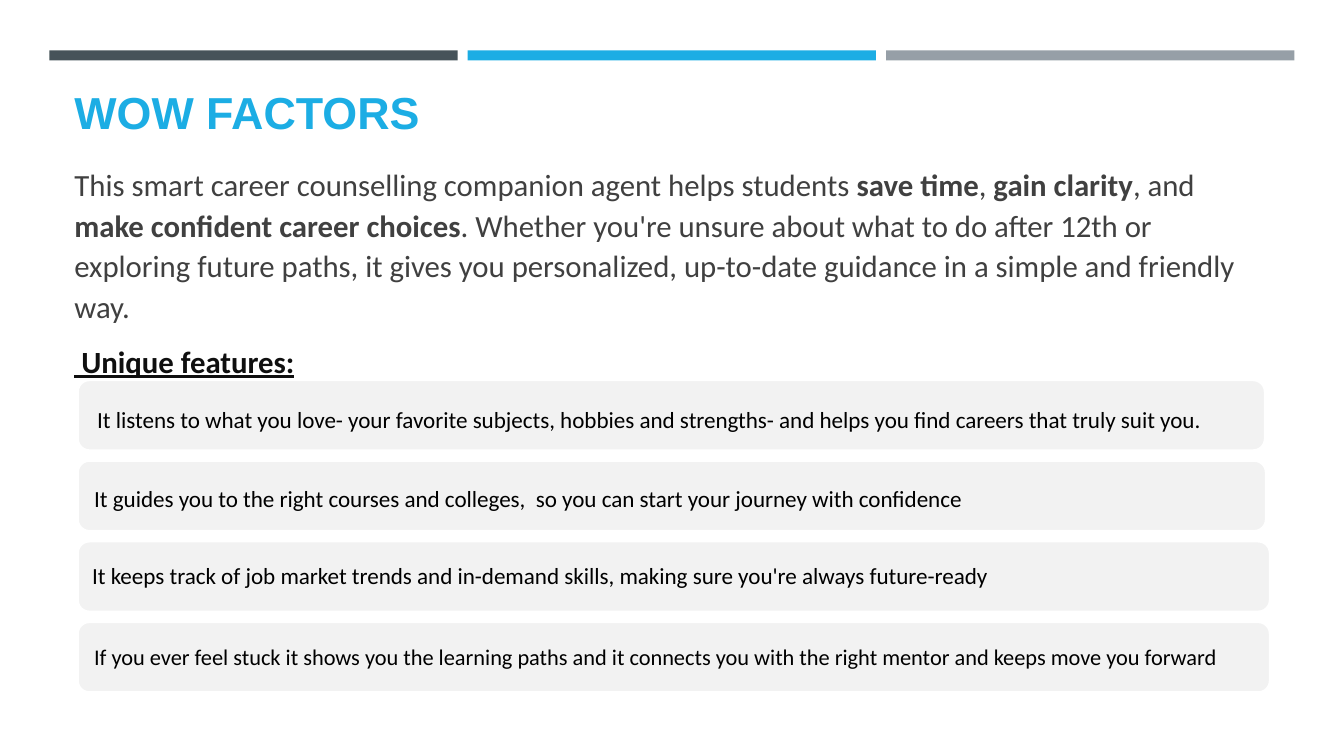
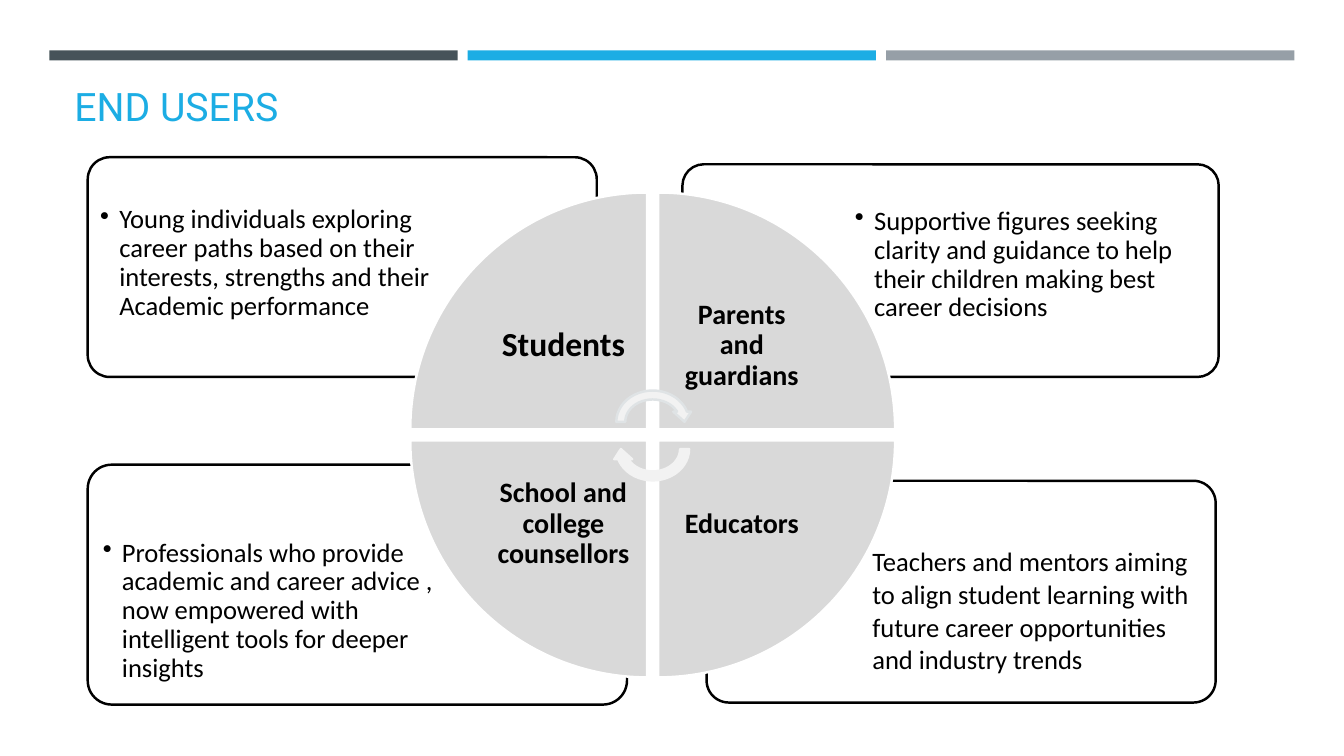
from dataclasses import dataclass

from lxml import etree
from pptx import Presentation
from pptx.dml.color import RGBColor
from pptx.enum.shapes import MSO_SHAPE
from pptx.enum.text import MSO_ANCHOR, PP_ALIGN
from pptx.oxml.ns import qn
from pptx.util import Inches, Pt

RECTANGLE = MSO_SHAPE.RECTANGLE
ROUNDED = MSO_SHAPE.ROUNDED_RECTANGLE
WEDGE = MSO_SHAPE.PIE_WEDGE
CIRCULAR_ARROW = MSO_SHAPE.CIRCULAR_ARROW
TOP, MIDDLE, BOTTOM = MSO_ANCHOR.TOP, MSO_ANCHOR.MIDDLE, MSO_ANCHOR.BOTTOM
LEFT, CENTER = PP_ALIGN.LEFT, PP_ALIGN.CENTER

# The slide is a grid of tenth-inch columns and rows
COLUMNS, ROWS = 133.33, 75
MARGIN, CONTENT_WIDTH = 6.4, 120.6


@dataclass(frozen=True)
class Theme:
    slate: str = "465359"
    blue: str = "1CADE4"
    gray: str = "969FA7"
    body: str = "404040"
    heading: str = "0F0F0F"
    black: str = "000000"
    white: str = "FFFFFF"
    card: str = "F2F2F2"
    wedge: str = "D9D9D9"
    arrow_edge: str = "DFE3E5"
    font: str = "Calibri"
    lead_size: float = 22
    feature_size: float = 16.5
    card_size: float = 19
    label_size: float = 20
    outline: float = 1.75


THEME = Theme()

# Text, width, left inset, added top inset, type size
FEATURES = [
    ("It listens to what you love- your favorite subjects, hobbies and strengths- "
     "and helps you find careers that truly suit you.", 117.8, 1.6, 1.2, THEME.feature_size),
    ("It guides you to the right courses and colleges,  so you can start your "
     "journey with confidence", 117.9, 1.3, 0.8, THEME.feature_size),
    ("It keeps track of job market trends and in-demand skills, making sure "
     "you're always future-ready", 118.3, 1.1, 0, THEME.feature_size),
    ("If you ever feel stuck it shows you the learning paths and it connects you "
     "with the right mentor and keeps move you forward", 118.3, 1.3, 0.2, 16),
]

# Box, insets (left, top, right, bottom), bulleted, paragraphs
USER_CARDS = [
    ((70.1, 47.7, 50.5, 22), (15.8, 6.1, 0.7, 0), False,
     ["Teachers and mentors aiming", "to align student learning with",
      "future career opportunities", "and industry trends"]),
    ((8.7, 46.1, 53.5, 23.8), (0.8, 6.7, 16.9, 0), True,
     ["Professionals who provide academic and career advice , now empowered "
      "with intelligent tools for deeper insights"]),
    ((67.7, 16.3, 53.2, 21.1), (16.5, 3.7, 0.6, 0), True,
     ["Supportive figures seeking clarity and guidance to help their children "
      "making best career decisions"]),
    ((8.7, 15.6, 50.5, 21.8), (0.6, 4.2, 15.9, 0), True,
     ["Young individuals exploring career paths based on their interests, "
      "strengths and their Academic performance"]),
]

# Label, column, row, rotation, type size
WEDGES = [
    ("Students", 0, 0, 0, 24),
    ("Parents and guardians", 1, 0, 90, THEME.label_size),
    ("Educators", 1, 1, 180, THEME.label_size),
    ("School and college counsellors", 0, 1, 270, THEME.label_size),
]


def grid(count):
    return Inches(count / 10)


def color(value):
    return RGBColor.from_string(value)


def set_frame(shape, anchor=TOP, insets=(1, 0.5, 1, 0.5)):
    frame = shape.text_frame
    frame.word_wrap = True
    frame.vertical_anchor = anchor
    (frame.margin_left, frame.margin_top,
     frame.margin_right, frame.margin_bottom) = map(grid, insets)
    return frame


def add_shape(slide, kind, box, fill, line=None, rotation=0):
    shape = slide.shapes.add_shape(kind, *map(grid, box))
    shape.shadow.inherit = False
    shape.rotation = rotation
    shape.fill.solid()
    shape.fill.fore_color.rgb = color(fill)
    if line:
        shape.line.color.rgb = color(line)
        shape.line.width = Pt(THEME.outline)
    else:
        shape.line.fill.background()
    return shape


def add_text_box(slide, box, **frame_format):
    return set_frame(slide.shapes.add_textbox(*map(grid, box)), **frame_format)


def write(frame, text, size, ink=THEME.black, font=THEME.font, bold=False,
          underline=False, align=LEFT, spacing=0.9, before=0, after=0, bullet=False):
    """Add a paragraph; text is a string or a list of (text, bold) runs."""
    paragraph = frame.paragraphs[0]
    if paragraph.runs:
        paragraph = frame.add_paragraph()
    paragraph.alignment = align
    paragraph.line_spacing = spacing
    paragraph.space_before, paragraph.space_after = Pt(before), Pt(after)
    if bullet:
        properties = paragraph._p.get_or_add_pPr()
        properties.set("marL", str(grid(1.9)))
        properties.set("indent", str(-grid(1.9)))
        etree.SubElement(properties, qn("a:buChar")).set("char", "•")
    for words, strong in [(text, bold)] if isinstance(text, str) else text:
        run = paragraph.add_run()
        run.text = words
        run.font.name, run.font.size = font, Pt(size)
        run.font.bold, run.font.underline = strong, underline
        run.font.color.rgb = color(ink)


def add_titled_slide(presentation, title, top, **title_format):
    slide = presentation.slides.add_slide(presentation.slide_layouts[6])
    for index, fill in enumerate((THEME.slate, THEME.blue, THEME.gray)):
        add_shape(slide, RECTANGLE, (4.9 + 41.5 * index, 5, 40.5, 1), fill)
    frame = add_text_box(slide, (MARGIN, top, CONTENT_WIDTH, 5.8), anchor=BOTTOM)
    write(frame, title, ink=THEME.blue, spacing=1, **title_format)
    return slide


def add_feature(slide, row, text, width, left_inset, top_inset, size):
    card = add_shape(slide, ROUNDED, (7.7, 37.7 + 8 * row, width, 7),
                     THEME.card, THEME.white)
    frame = set_frame(card, MIDDLE, (left_inset, top_inset, 0.3, 0))
    write(frame, text, size)


def add_user_card(slide, box, insets, bullet, paragraphs):
    card = add_shape(slide, ROUNDED, box, THEME.white, THEME.black)
    card.adjustments[0] = 0.1
    frame = set_frame(card, insets=insets)
    for text in paragraphs:
        write(frame, text, THEME.card_size, after=2.85, bullet=bullet)


def add_wedge(slide, label, column, row, rotation, size):
    side, label_side, pitch = 23.5, 16.6, 24.6
    left, top = 40.7 + pitch * column, 19.1 + pitch * row
    add_shape(slide, WEDGE, (left, top, side, side), THEME.wedge, THEME.white, rotation)
    # Labels sit in the corner nearest the centre of the circle
    shift = side - label_side
    box = (left + shift * (1 - column), top + shift * (1 - row), label_side, label_side)
    frame = add_text_box(slide, box, anchor=MIDDLE, insets=(1.6,) * 4)
    write(frame, label, size, bold=True, align=CENTER)


def build_wow_factors(presentation):
    slide = add_titled_slide(presentation, "WOW FACTORS", 8.4,
                             size=32, font="Arial", bold=True)
    # Introduction
    frame = add_text_box(slide, (MARGIN, 15.6, CONTENT_WIDTH, 22))
    write(frame, [
        ("This smart career counselling companion agent helps students ", False),
        ("save time", True), (", ", False), ("gain clarity", True), (", and ", False),
        ("make confident career choices", True),
        (". Whether you're unsure about what to do after 12th or exploring future "
         "paths, it gives you personalized, up-to-date guidance in a simple and "
         "friendly way.", False),
    ], THEME.lead_size, ink=THEME.body, spacing=1.1, after=6)
    write(frame, " Unique features:", THEME.lead_size, ink=THEME.heading,
          bold=True, underline=True, spacing=1.1, before=4.4)
    # Feature cards
    for row, feature in enumerate(FEATURES):
        add_feature(slide, row, *feature)


def build_end_users(presentation):
    slide = add_titled_slide(presentation, "END USERS", 7.5, size=28, font="Roboto")
    for card in USER_CARDS:
        add_user_card(slide, *card)
    for wedge in WEDGES:
        add_wedge(slide, *wedge)
    # Cycle arrows at the centre
    for top, edge, rotation in ((38.3, THEME.arrow_edge, 0), (41, THEME.card, 180)):
        add_shape(slide, CIRCULAR_ARROW, (60.7, top, 8.1, 7.1), THEME.card, edge, rotation)


def main():
    presentation = Presentation()
    presentation.slide_width, presentation.slide_height = grid(COLUMNS), grid(ROWS)
    build_wow_factors(presentation)
    build_end_users(presentation)
    presentation.save("out.pptx")


if __name__ == "__main__":
    main()
